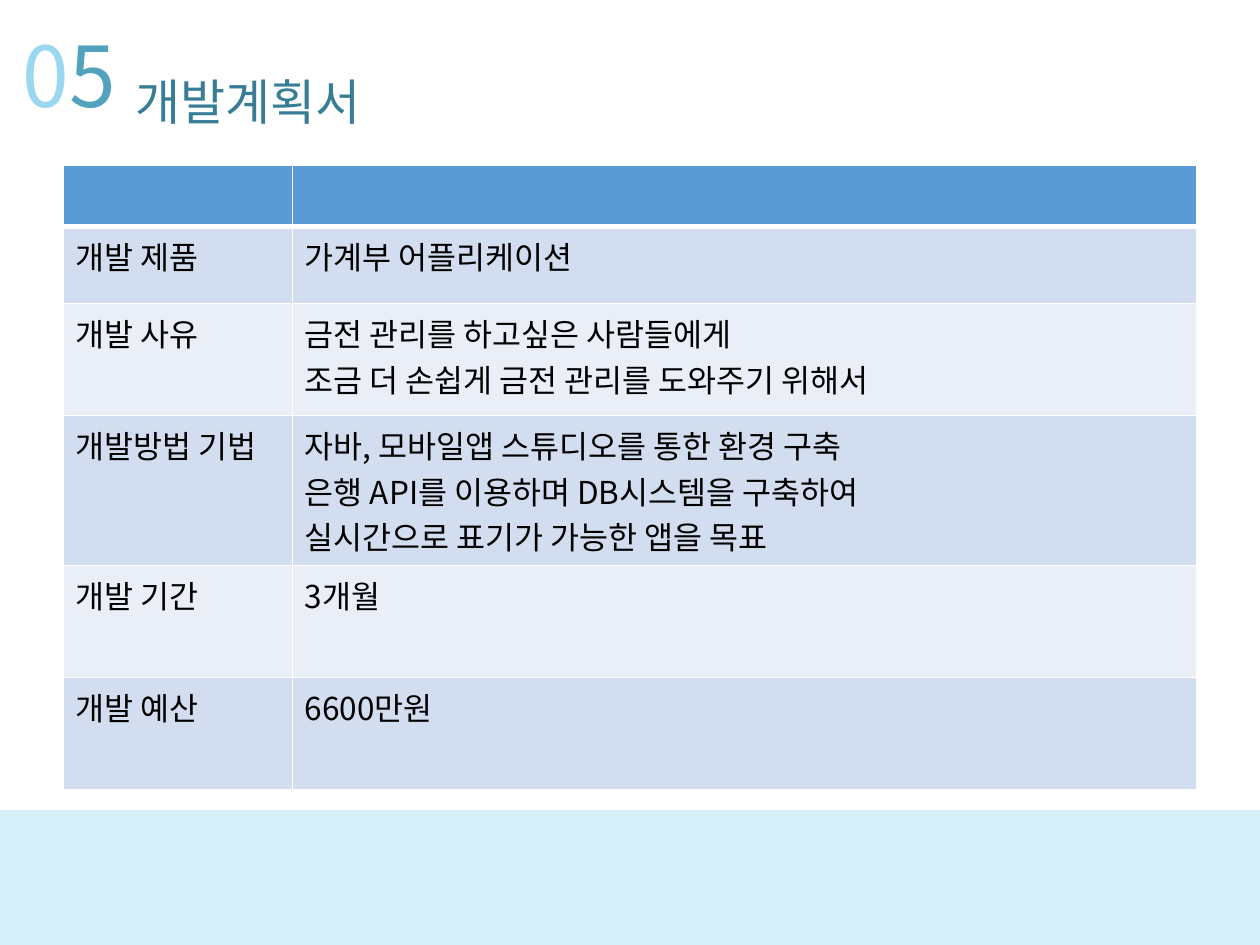
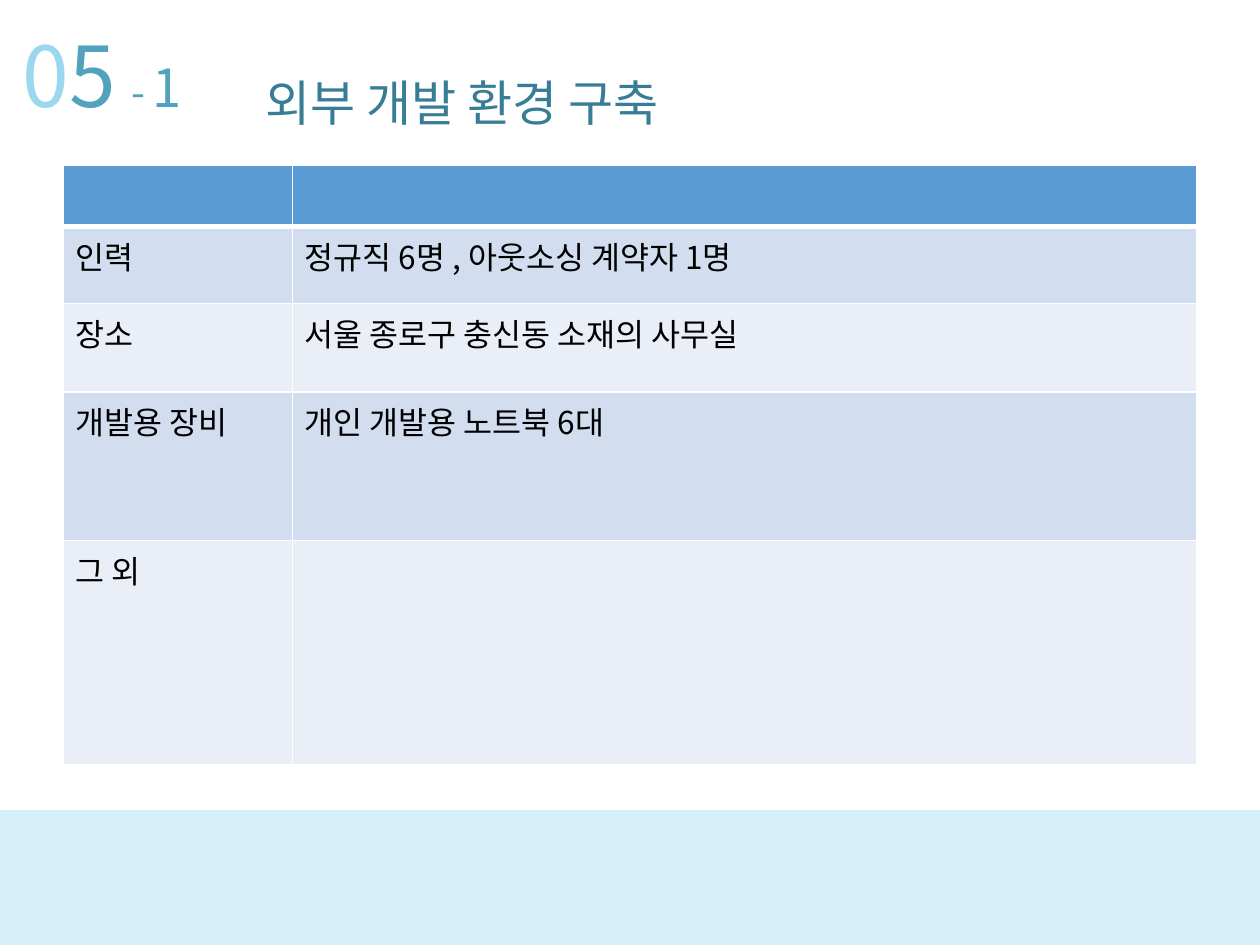
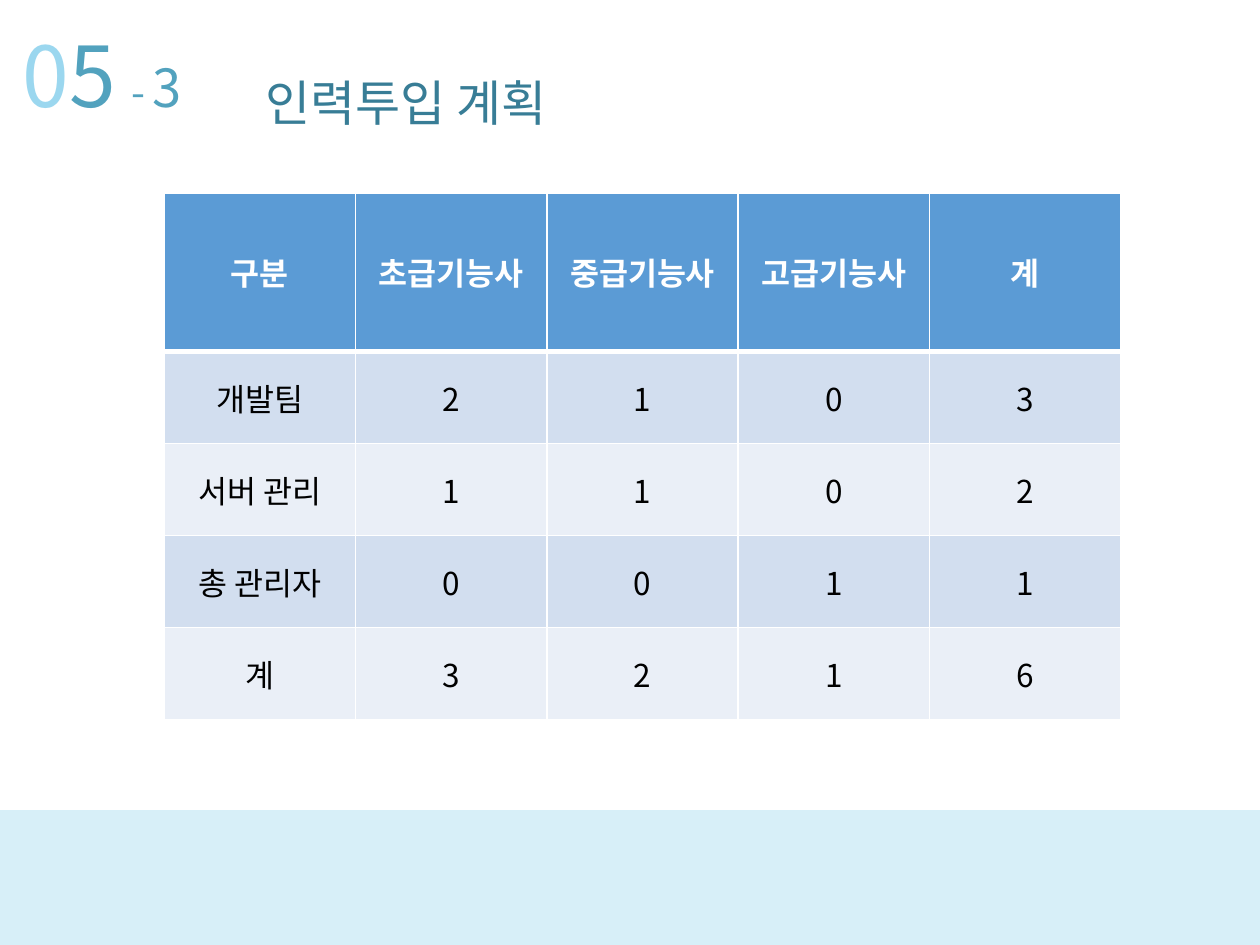
from lxml import etree
from pptx import Presentation
from pptx import util as u
from pptx.dml.color import RGBColor
from pptx.enum import shapes, text
from pptx.oxml import ns

FONT = "Noto Sans CJK KR"
SKY, PALE, TEAL, DEEP = "55BCE3", "9BD7EF", "52A2BE", "387D96"
HEAD, BANDS = "5B9BD5", ("D2DEEF", "EAEFF7")
WHITE, BLACK = "FFFFFF", "000000"
WIDE = (1.82, 7.18)


def color(code):
    return RGBColor.from_string(code)


def paint(fill, code):
    fill.solid()
    fill.fore_color.rgb = color(code)


def sub(node, tag, **attrs):
    return etree.SubElement(node, ns.qn(tag), **attrs)


def style(run, size, code, bold=False):
    font = run.font
    font.size, font.bold, font.name = u.Pt(size), bold, FONT
    font.color.rgb = color(code)
    sub(font._element, "a:ea", typeface=FONT)


def add_band(slide):
    band = slide.shapes.add_shape(
        shapes.MSO_SHAPE.RECTANGLE, 0, u.Inches(6.43), u.Inches(10), u.Inches(1.07))
    band.shadow.inherit = False
    band.line.fill.background()
    paint(band.fill, SKY)
    tint = band._element.spPr.find(ns.qn("a:solidFill"))[0]
    sub(tint, "a:alpha", val="23000")


def add_text(slide, box, parts, space=0):
    """Write one line from (text, size, colour) parts."""
    shape = slide.shapes.add_textbox(*map(u.Inches, box))
    shape.text_frame.word_wrap = True
    para = shape.text_frame.paragraphs[0]
    para.line_spacing = 0.88
    for words, size, code in parts:
        run = para.add_run()
        run.text = words
        style(run, size, code)
        if space:
            run.font._element.set("spc", str(space))


def add_title(slide, title, part=""):
    """Section number, optional part number, and title."""
    digits = [("0", 48, PALE), ("5 " if part else "5", 48, TEAL)]
    if part:
        digits += [("- ", 23, TEAL), (part, 30, TEAL)]
    add_text(slide, (0.08, 0.24, 2.63 if part else 1.18, 0.91), digits, -150)
    left, top = (2.01, 0.59) if part else (0.98, 0.58)
    add_text(slide, (left, top, 6.34, 0.57), [(title, 28, DEEP)])


def add_edges(cell, row):
    """White borders, thick under the header row."""
    props = cell._tc.get_or_add_tcPr()
    thick = {"T": row == 1, "B": row == 0}
    for spot, side in enumerate("LRTB"):
        width = u.Pt(3 if thick.get(side) else 1)
        line = sub(props, f"a:ln{side}", w=str(width))
        sub(sub(line, "a:solidFill"), "a:srgbClr", val=WHITE)
        props.insert(spot, line)


def add_table(slide, left, top, cols, rows, data, center=False):
    frame = slide.shapes.add_table(
        len(rows), len(cols), u.Inches(left), u.Inches(top),
        u.Inches(sum(cols)), u.Inches(sum(rows)))
    table = frame.table
    for col, width in zip(table.columns, cols):
        col.width = u.Inches(width)
    for r, (height, line) in enumerate(zip(rows, data)):
        table.rows[r].height = u.Inches(height)
        for c, words in enumerate(line):
            cell = table.cell(r, c)
            paint(cell.fill, BANDS[(r - 1) % 2] if r else HEAD)
            add_edges(cell, r)
            if center:
                cell.vertical_anchor = text.MSO_ANCHOR.MIDDLE
            if not words:
                continue
            cell.text_frame.text = words
            for para in cell.text_frame.paragraphs:
                if center:
                    para.alignment = text.PP_ALIGN.CENTER
                for run in para.runs:
                    style(run, 18, BLACK if r else WHITE, r == 0)


def add_slide(deck, title, part=""):
    slide = deck.slides.add_slide(deck.slide_layouts[6])
    add_band(slide)
    add_title(slide, title, part)
    return slide


def main():
    deck = Presentation()
    deck.slide_width, deck.slide_height = u.Inches(10), u.Inches(7.5)

    # Development plan
    slide = add_slide(deck, "개발계획서")
    add_table(slide, 0.5, 1.31, WIDE, (0.49, 0.61, 0.89, 1.19, 0.89, 0.89), [
        ("", ""),
        ("개발 제품", "가계부 어플리케이션"),
        ("개발 사유", "금전 관리를 하고싶은 사람들에게\n"
                  "조금 더 손쉽게 금전 관리를 도와주기 위해서"),
        ("개발방법 기법", "자바, 모바일앱 스튜디오를 통한 환경 구축\n"
                    "은행 API를 이용하며 DB시스템을 구축하여\n"
                    "실시간으로 표기가 가능한 앱을 목표"),
        ("개발 기간", "3개월"),
        ("개발 예산", "6600만원"),
    ])

    # Working environment
    slide = add_slide(deck, "외부 개발 환경 구축", "1")
    add_table(slide, 0.5, 1.31, WIDE, (0.49, 0.61, 0.7, 1.18, 1.78), [
        ("", ""),
        ("인력", "정규직 6명 , 아웃소싱 계약자 1명"),
        ("장소", "서울 종로구 충신동 소재의 사무실"),
        ("개발용 장비", "개인 개발용 노트북 6대"),
        ("그 외", ""),
    ])

    # Staffing
    slide = add_slide(deck, "인력투입 계획", "3")
    add_table(slide, 1.3, 1.53, [1.52] * 5, [1.26] + [0.73] * 4, [
        ("구분", "초급기능사", "중급기능사", "고급기능사", "계"),
        ("개발팀", "2", "1", "0", "3"),
        ("서버 관리", "1", "1", "0", "2"),
        ("총 관리자", "0", "0", "1", "1"),
        ("계", "3", "2", "1", "6"),
    ], center=True)

    deck.save("out.pptx")


if __name__ == "__main__":
    main()
